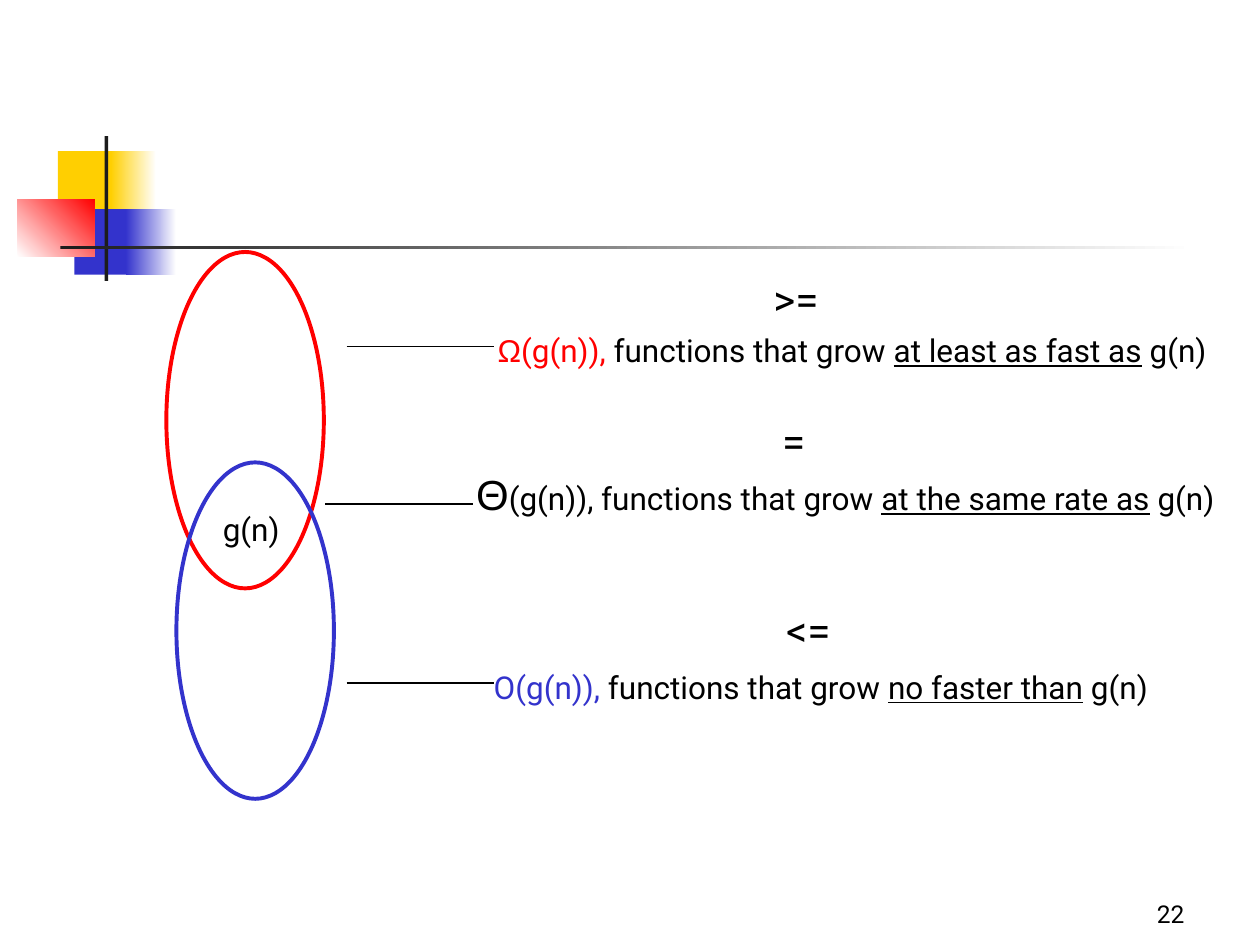
from pptx import Presentation
from pptx.dml.color import RGBColor as RGB
from pptx.enum.shapes import MSO_CONNECTOR as Conn, MSO_SHAPE as Shape
from pptx.enum.text import MSO_ANCHOR as Anchor, MSO_AUTO_SIZE as Auto, PP_ALIGN as Align
from pptx.oxml.ns import qn
from pptx.util import Pt
from lxml import etree

PX = 9144  # 100 px to the inch
HUE = {k: RGB.from_string(v) for k, v in {
    "gold": "FFCF01", "blue": "3333CC", "red": "FF0000",
    "dark": "1C1C1C", "black": "000000", "white": "FFFFFF"}.items()}

deck = Presentation()
deck.slide_width, deck.slide_height = 1000 * PX, 750 * PX
slide = deck.slides.add_slide(deck.slide_layouts[6])
shapes = slide.shapes


def add_text(x, y, w, h, runs):
    """Add one line of text; each run is (text, font, size, colour, underline)."""
    box = shapes.add_textbox(x * PX, y * PX, w * PX, h * PX)
    frame = box.text_frame
    frame.word_wrap = False
    frame.auto_size = Auto.SHAPE_TO_FIT_TEXT
    for text, face, size, hue, under in runs:
        run = frame.paragraphs[0].add_run()
        run.text = text
        font = run.font
        font.name, font.size = face, Pt(size)
        font.color.rgb = HUE[hue]
        if under:
            font.underline = True
    return frame


# Corner ornament: solid blocks and fades (start, end, angle)
for x, y, w, h, start, end, angle in [
        (46, 120, 48, 52, "gold", None, 0),
        (88, 120, 36, 52, "gold", "white", 0),
        (59, 166, 46, 52, "blue", None, 0),
        (100, 166, 40, 52, "blue", "white", 0),
        (14, 158, 61, 46, "white", "red", 45),
        (83, 108, 3, 115, "dark", None, 0),
        (48, 195, 900, 3, "dark", "white", 0)]:
    block = shapes.add_shape(Shape.RECTANGLE, x * PX, y * PX, w * PX, h * PX)
    block.shadow.inherit = False
    block.line.fill.background()
    if end:
        block.fill.gradient()
        block.fill.gradient_angle = angle
        for stop, hue in zip(block.fill.gradient_stops, (start, end)):
            stop.color.rgb = HUE[hue]
    else:
        block.fill.solid()
        block.fill.fore_color.rgb = HUE[start]

# Overlapping sets
for x, y, hue in [(132, 200, "red"), (140, 367, "blue")]:
    oval = shapes.add_shape(Shape.OVAL, x * PX, y * PX, 125 * PX, 267 * PX)
    oval.shadow.inherit = False
    oval.fill.background()
    oval.line.color.rgb = HUE[hue]
    oval.line.width = Pt(2.25)

# Leader lines
for x, y in [(275, 275), (258, 400), (275, 542)]:
    line = shapes.add_connector(Conn.STRAIGHT, x * PX, y * PX, (x + 117) * PX, y * PX)
    line.line.color.rgb = HUE["black"]
    line.line.width = Pt(0.75)
    etree.SubElement(line._element.spPr, qn("a:effectLst"))

# Descriptions of the three classes
grow = " functions that grow "
for x, y, w, h, head, verb in [
        (385, 258, 609, 40, [("Ω", "Arial", 18, "red", False),
                             ("(g(n)),", "Roboto", 18, "red", False)], "at least as fast as"),
        (368, 367, 639, 50, [("Θ", "Arial", 24, "black", False),
                             ("(g(n)),", "Roboto", 18, "black", False)], "at the same rate as"),
        (382, 525, 575, 40, [("O(g(n)),", "Roboto", 18, "blue", False)], "no faster than")]:
    tail = [(text, "Roboto", 18, "black", text == verb) for text in (grow, verb, " g(n)")]
    add_text(x, y, w, h, head + tail)

# Shared label and comparison signs
for x, y, w, h, text, size in [
        (167, 400, 66, 40, "g(n)", 18),
        (604, 212, 58, 50, ">=", 24),
        (614, 475, 58, 50, "<=", 24),
        (611, 325, 39, 50, "=", 24)]:
    add_text(x, y, w, h, [(text, "Roboto", size, "black", False)])

# Slide number
num = add_text(742, 692, 208, 50, [("22", "Roboto", 14, "black", False)])
num.word_wrap = True
num.auto_size = Auto.NONE
num.vertical_anchor = Anchor.BOTTOM
num.paragraphs[0].alignment = Align.RIGHT

deck.save("out.pptx")
